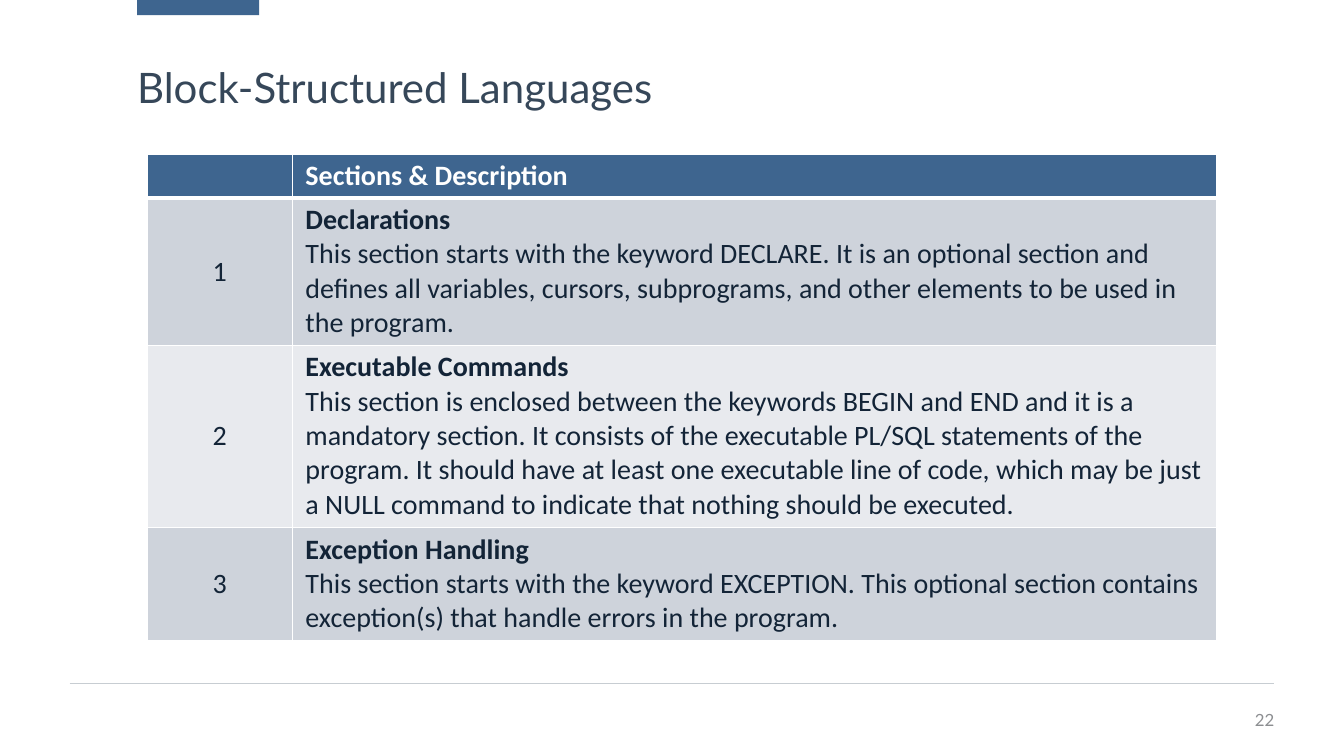
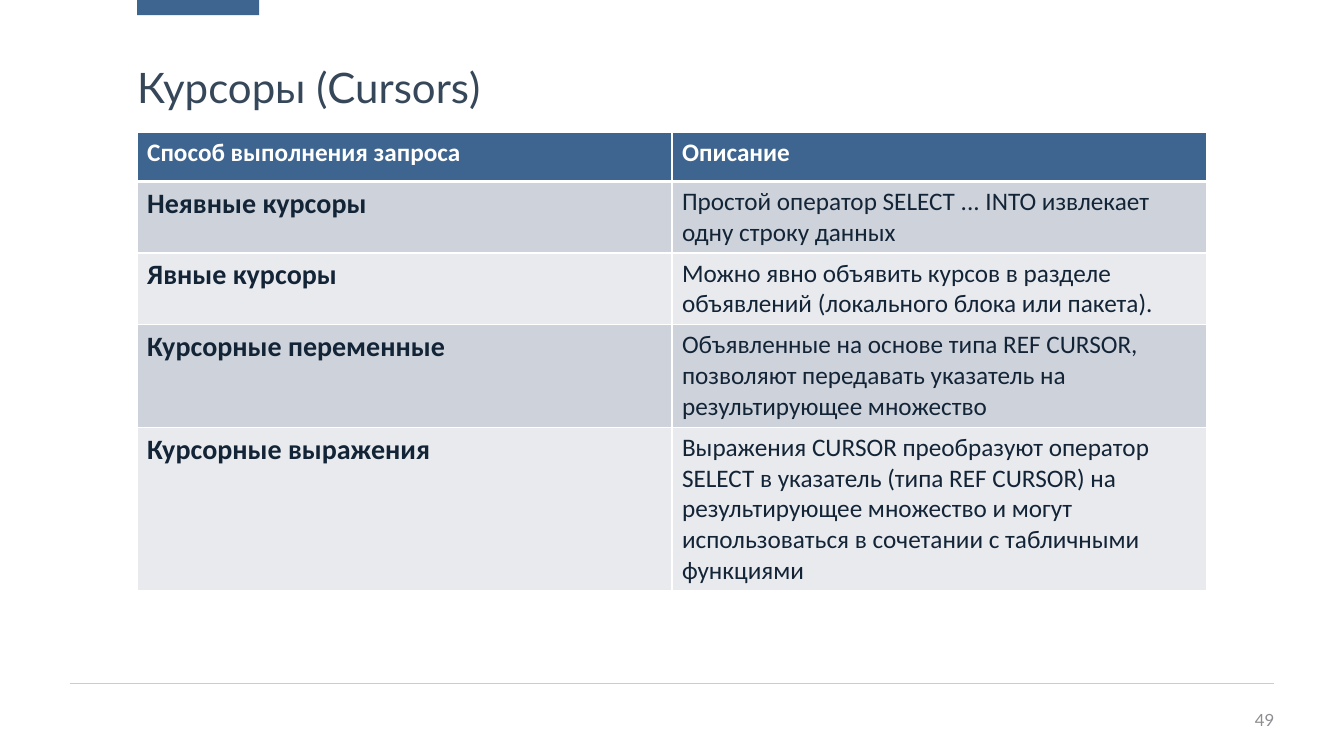
import pptx
import pptx.util
import pptx.dml.color
import pptx.enum.shapes
import pptx.enum.text
import lxml.etree

Inches = pptx.util.Inches
Align = pptx.enum.text.PP_ALIGN
Anchor = pptx.enum.text.MSO_ANCHOR

BLUE, SLATE, INK, WHITE = "3E658F", "364759", "132437", "FFFFFF"
RULE, GREY = "C7CDD2", "8C8E91"
BANDS = ("E8EAEE", "CED3DB")
LEFT, WIDE = 1.36, 10.61
NS = "http://schemas.openxmlformats.org/drawingml/2006/main"

SLIDES = [
    {
        "title": "Block-Structured Languages",
        "page": "22",
        "at": (1.46, 1.53),
        "cols": (1.44, 9.17),
        "heights": (0.43, 1.46, 1.81, 1.12),
        "inset": 0.13,
        "sizes": {"head": 20, "bold": 20, "body": 20},
        "rows": [
            ([], ["Sections & Description"]),
            (["1"], [
                "*Declarations",
                "This section starts with the keyword DECLARE. It is an optional section and defines all variables, cursors, subprograms, and other elements to be used in the program.",
            ]),
            (["2"], [
                "*Executable Commands",
                "This section is enclosed between the keywords BEGIN and END and it is a mandatory section. It consists of the executable PL/SQL statements of the program. It should have at least one executable line of code, which may be just a NULL command to indicate that nothing should be executed.",
            ]),
            (["3"], [
                "*Exception Handling",
                "This section starts with the keyword EXCEPTION. This optional section contains exception(s) that handle errors in the program.",
            ]),
        ],
    },
    {
        "title": "Курсоры (Cursors)",
        "page": "49",
        "at": (LEFT, 1.31),
        "cols": (WIDE / 2, WIDE / 2),
        "heights": (0.49, 0.71, 0.71, 1.02, 1.62),
        "inset": 0.1,
        "sizes": {"head": 18, "bold": 20, "body": 18},
        "rows": [
            (["Способ выполнения запроса"], ["Описание"]),
            (["*Неявные курсоры"],
             ["Простой оператор SELECT ... INTO извлекает одну строку данных"]),
            (["*Явные курсоры"],
             ["Можно явно объявить курсов в разделе объявлений (локального блока или пакета)."]),
            (["*Курсорные переменные"],
             ["Объявленные на основе типа REF CURSOR, позволяют передавать указатель на результирующее множество"]),
            (["*Курсорные выражения"],
             ["Выражения CURSOR преобразуют оператор SELECT в указатель (типа REF CURSOR) на результирующее множество и могут использоваться в сочетании с табличными функциями"]),
        ],
    },
]


def color(code):
    return pptx.dml.color.RGBColor.from_string(code)


def paint(fill, code):
    fill.solid()
    fill.fore_color.rgb = color(code)


def style(para, size, code, face, bold=False):
    for run in para.runs:
        run.font.size = pptx.util.Pt(size)
        run.font.name = face
        run.font.bold = bold
        run.font.color.rgb = color(code)


def pad(frame):
    frame.margin_left = frame.margin_right = 0
    frame.margin_top = frame.margin_bottom = 0
    frame.word_wrap = True


def place(shape, *box):
    shape.left, shape.top, shape.width, shape.height = map(Inches, box)


def border(cell, widths):
    props = cell._tc.get_or_add_tcPr()
    for spot, (side, width) in enumerate(widths.items()):
        line = lxml.etree.Element(f"{{{NS}}}ln{side}", w=str(pptx.util.Pt(width)))
        fill = lxml.etree.SubElement(line, f"{{{NS}}}solidFill")
        lxml.etree.SubElement(fill, f"{{{NS}}}srgbClr", val=WHITE)
        props.insert(spot, line)


def frame(slide, title, page):
    bar = slide.shapes.add_shape(
        pptx.enum.shapes.MSO_SHAPE.RECTANGLE,
        Inches(LEFT), 0, Inches(1.21), Inches(0.15))
    bar.shadow.inherit = False
    paint(bar.fill, BLUE)
    bar.line.fill.background()

    rule = slide.shapes.add_connector(
        pptx.enum.shapes.MSO_CONNECTOR.STRAIGHT,
        Inches(0.69), Inches(6.78), Inches(12.64), Inches(6.78))
    rule.line.color.rgb = color(RULE)
    rule.line.width = pptx.util.Pt(1)
    lxml.etree.SubElement(rule._element.spPr, f"{{{NS}}}effectLst")

    note = slide.shapes.add_textbox(
        Inches(11.97), Inches(6.94), Inches(0.67), Inches(0.4)).text_frame
    pad(note)
    note.vertical_anchor = Anchor.MIDDLE
    note.text = page
    note.paragraphs[0].alignment = Align.RIGHT
    style(note.paragraphs[0], 12, GREY, "Lato")

    head = slide.shapes.title
    place(head, LEFT, 0.65, WIDE, 0.48)
    text = head.text_frame
    pad(text)
    text.auto_size = pptx.enum.text.MSO_AUTO_SIZE.NONE
    text.vertical_anchor = Anchor.TOP
    text.text = title
    para = text.paragraphs[0]
    para.alignment = Align.LEFT
    para.line_spacing = 0.95
    style(para, 30, SLATE, "Lato")


def write(cell, texts, top, sizes):
    text = cell.text_frame
    text.text = "\n".join(item.lstrip("*") for item in texts)
    for item, para in zip(texts, text.paragraphs):
        kind = "head" if top else "bold" if item.startswith("*") else "body"
        style(para, sizes[kind], WHITE if top else INK, "Calibri", kind != "body")
        if item.isdigit():
            para.alignment = Align.CENTER
            cell.vertical_anchor = Anchor.MIDDLE


def grid(slide, data):
    rows, cols, tall = data["rows"], data["cols"], data["heights"]
    box = (*data["at"], sum(cols), sum(tall))
    table = slide.shapes.add_table(len(rows), len(cols), *map(Inches, box)).table
    for col, width in zip(table.columns, cols):
        col.width = Inches(width)
    for num, (row, height, texts) in enumerate(zip(table.rows, tall, rows)):
        row.height = Inches(height)
        for cell, item in zip(row.cells, texts):
            cell.margin_left = cell.margin_right = Inches(data["inset"])
            paint(cell.fill, BANDS[num % 2] if num else BLUE)
            border(cell, {"L": 1, "R": 1, "T": 3 if num == 1 else 1,
                          "B": 1 if num else 3})
            write(cell, item, num == 0, data["sizes"])


def main():
    """Build the slides and save them."""
    deck = pptx.Presentation()
    deck.slide_width, deck.slide_height = Inches(13.33), Inches(7.5)
    for data in SLIDES:
        slide = deck.slides.add_slide(deck.slide_layouts[5])
        frame(slide, data["title"], data["page"])
        grid(slide, data)
    deck.save("out.pptx")


if __name__ == "__main__":
    main()
